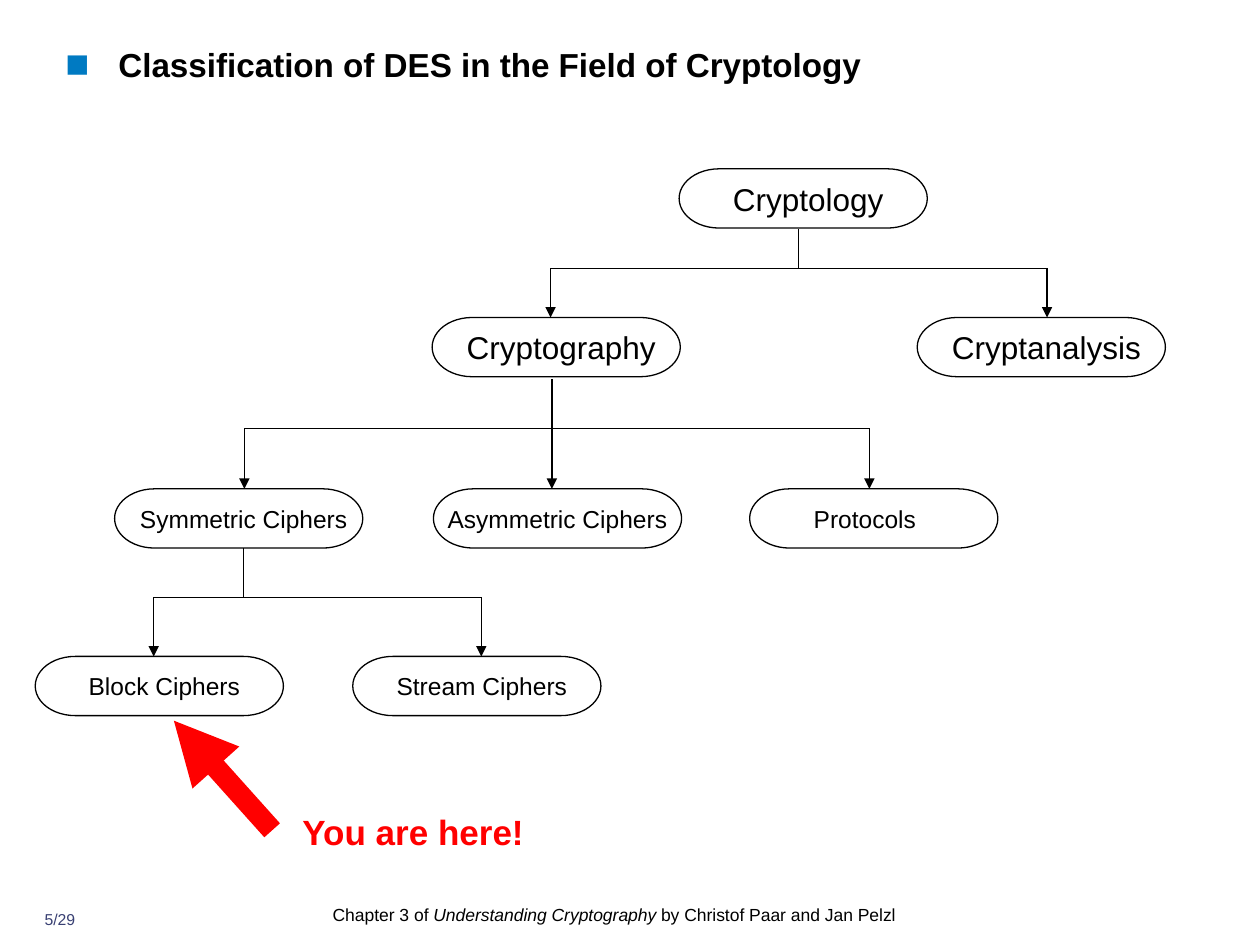
from lxml.etree import SubElement
from pptx import Presentation
from pptx.dml.color import RGBColor
from pptx.enum.shapes import MSO_CONNECTOR, MSO_SHAPE
from pptx.enum.text import MSO_ANCHOR, PP_ALIGN
from pptx.oxml.ns import qn
from pptx.util import Inches, Pt

# Grid of 100 columns by 75 rows; boxes are (left, top, width, height) in cells
CELL = Inches(10) // 100
BLACK, RED, BLUE, NAVY = "000000", "FF0000", "007AC2", "394073"
NODE_WIDTH, NODE_HEIGHT = 19.7, 4.7


def cells(*values):
    return [round(value * CELL) for value in values]


def color(value):
    return RGBColor.from_string(value)


def write(shape, runs, size, ink=BLACK, bold=False, align=PP_ALIGN.LEFT,
          anchor=MSO_ANCHOR.TOP, wrap=True, spacing=None, left_inset=0, right_inset=0):
    """Fill a shape with one paragraph; runs are (text, italic) pairs or a string."""
    frame = shape.text_frame
    frame.word_wrap = wrap
    frame.vertical_anchor = anchor
    frame.margin_left, frame.margin_right = cells(left_inset, right_inset)
    frame.margin_top = frame.margin_bottom = 0
    paragraph = frame.paragraphs[0]
    paragraph.alignment = align
    if spacing:
        paragraph.line_spacing = spacing
    for text, italic in [(runs, False)] if isinstance(runs, str) else runs:
        run = paragraph.add_run()
        run.text = text
        font = run.font
        font.name, font.size, font.bold, font.italic = "Arial", Pt(size), bold, italic
        font.color.rgb = color(ink)
    return paragraph


def text_box(slide, box, runs, size, **text_format):
    return write(slide.shapes.add_textbox(*cells(*box)), runs, size, **text_format)


def add_line(slide, start, end, ink=BLACK, width=0.75, arrow=False):
    line = slide.shapes.add_connector(MSO_CONNECTOR.STRAIGHT, *cells(*start, *end))
    line.line.color.rgb = color(ink)
    line.line.width = Pt(width)
    if arrow:
        SubElement(line.line._get_or_add_ln(), qn("a:tailEnd"), type="triangle")
    SubElement(line._element.spPr, qn("a:effectLst"))


def add_node(slide, left, top, label, size, shift=0.4):
    """Rounded node; shift moves its label sideways from the centre."""
    node = slide.shapes.add_shape(MSO_SHAPE.FLOWCHART_TERMINATOR,
                                  *cells(left, top, NODE_WIDTH, NODE_HEIGHT))
    node.shadow.inherit = False
    node.fill.background()
    node.line.color.rgb = color(BLACK)
    node.line.width = Pt(0.75)
    write(node, label, size, align=PP_ALIGN.CENTER, anchor=MSO_ANCHOR.MIDDLE, wrap=False,
          left_inset=max(2 * shift, 0), right_inset=max(-2 * shift, 0))


def add_branch(slide, box, size, trunk, rail, children):
    """Trunk, rail and arrows to children: (label, node offset, arrow offset, shift)."""
    left, top, width, height = box
    node_top = top + height - NODE_HEIGHT
    rail_top = top + rail
    arrows = [left + child[2] for child in children]
    add_line(slide, (left + trunk, top), (left + trunk, rail_top))
    add_line(slide, (arrows[0], rail_top), (arrows[-1], rail_top))
    for (label, offset, _, shift), x in zip(children, arrows):
        add_node(slide, left + offset, node_top, label, size, shift)
        add_line(slide, (x, rail_top), (x, node_top), arrow=True)


def add_title(slide, box):
    paragraph = text_box(slide, box, "Classification of DES in the Field of Cryptology",
                         19, bold=True)
    paragraph.space_before = Pt(4.8)
    # Square bullet with a hanging indent
    properties = paragraph._p.get_or_add_pPr()
    indent = cells(4.2)[0]
    properties.set("marL", str(indent))
    properties.set("indent", str(-indent))
    SubElement(SubElement(properties, qn("a:buClr")), qn("a:srgbClr"), val=BLUE)
    SubElement(properties, qn("a:buSzPct"), val="120000")
    SubElement(properties, qn("a:buFont"), typeface="Arial")
    SubElement(properties, qn("a:buChar"), char="■")


def add_tree(slide):
    add_node(slide, 53.9, 13.4, "Cryptology", 18)
    add_branch(slide, (34.3, 18.2, 58.2, 11.7), 18, 29.1, 3.1, [
        ("Cryptography", 0, 9.4, 0.4),
        ("Cryptanalysis", 38.5, 48.8, 0.4)])
    add_branch(slide, (9.1, 30.1, 70.1, 13.4), 14, 34.7, 3.9, [
        ("Symmetric Ciphers", 0, 10.3, 0.4),
        ("Asymmetric Ciphers", 25.3, 34.7, 0),
        ("Protocols", 50.4, 59.9, -0.7)])
    add_branch(slide, (2.8, 43.5, 44.9, 13.3), 14, 16.5, 3.9, [
        ("Block Ciphers", 0, 9.4, 0.4),
        ("Stream Ciphers", 25.2, 35.4, 0.4)])


def add_marker(slide, box):
    """Red arrow pointing up to the block ciphers, with its caption."""
    left, top, width, height = box
    add_line(slide, (left + 7.8, top + 8.7), (left, top), RED, 12, arrow=True)
    text_box(slide, (left + 10.2, top + 7.1, width - 10.2, height - 7.1),
             "You are here!", 20, ink=RED, bold=True, wrap=False)


def add_footer(slide, box):
    left, top, width, height = box
    text_box(slide, (left, top + 0.8, 5.5, 2.4), "5/29", 9, ink=NAVY,
             align=PP_ALIGN.CENTER)
    text_box(slide, (left + 24.4, top, width - 24.4, height - 0.4), [
        ("Chapter 3 of ", False),
        ("Understanding Cryptography", True),
        (" by Christof Paar and Jan Pelzl", False)], 10, spacing=1.2)


def main():
    presentation = Presentation()
    presentation.slide_width, presentation.slide_height = cells(100, 75)
    slide = presentation.slides.add_slide(presentation.slide_layouts[6])
    add_title(slide, (5.2, 3.5, 70.7, 5.6))
    add_tree(slide)
    add_marker(slide, (13.8, 57.2, 28, 10.4))
    add_footer(slide, (2, 71.4, 71.7, 3.2))
    presentation.save("out.pptx")


if __name__ == "__main__":
    main()
